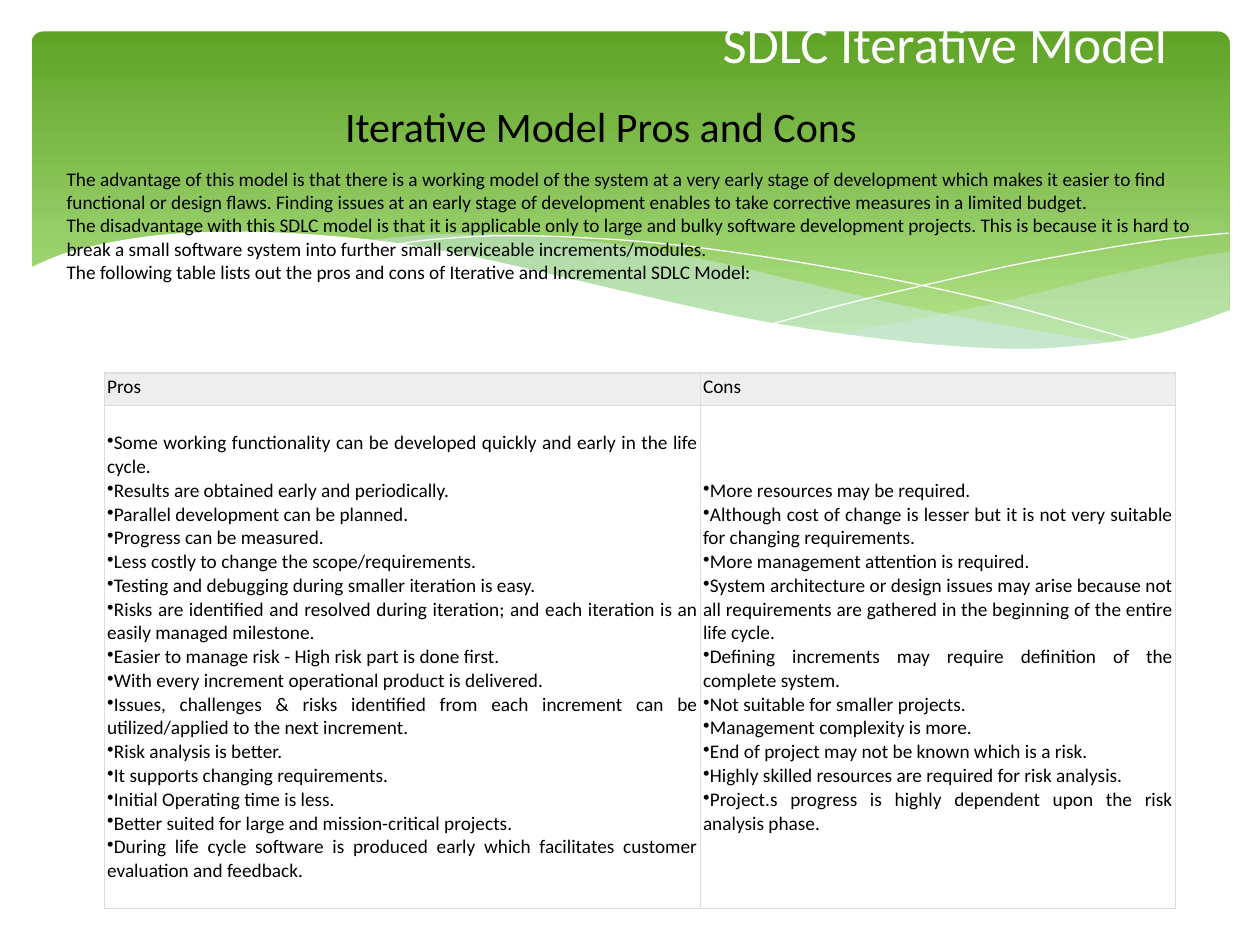
from dataclasses import dataclass
from typing import Optional

from lxml import etree
from pptx import Presentation
from pptx import util as u
from pptx.dml.color import RGBColor
from pptx.enum import shapes, text
from pptx.oxml import ns

COLORS = {"dark_green": "5FA326", "light_green": "B2E389", "mist": "D6ECFF",
          "white": "FFFFFF", "black": "000000", "header": "EEEEEE", "border": "DDDDDD"}
FONT = "Calibri"
CURVE_STEPS = 6
CELL_MARGIN = u.Inches(0.02)

Curve = list[tuple[float, float]]


@dataclass
class Wave:
    curves: list[Curve]
    fill: Optional[str] = None
    opacity: int = 100


@dataclass
class Label:
    left: float
    top: float
    width: float
    height: float
    lines: list[str]
    size: int
    color: str = "black"
    align: text.PP_ALIGN = text.PP_ALIGN.LEFT
    anchor: text.MSO_ANCHOR = text.MSO_ANCHOR.TOP
    wrap: bool = True


WAVES = [
    Wave([[(9.76, 2), (9.48, 2.04), (9.06, 2.13), (8.61, 2.23), (8.05, 2.37), (7.29, 2.53), (6.61, 2.65)],
          [(6.61, 2.65), (7.05, 2.71), (7.57, 2.76), (8.03, 2.78), (8.44, 2.77),
           (8.89, 2.72), (9.28, 2.63), (9.76, 2.47)]], "mist", 29),
    Wave([[(8.93, 2.73), (8.37, 2.65), (7.75, 2.54), (7.06, 2.4), (6.29, 2.22), (5.69, 2.08),
           (5.14, 1.98), (4.65, 1.91), (3.99, 1.86), (3.44, 1.86), (2.86, 1.91)],
          [(2.86, 1.91), (3.42, 1.99), (4.04, 2.11), (4.49, 2.22), (5.3, 2.4), (6.01, 2.55),
           (6.65, 2.66), (7.22, 2.74), (7.73, 2.77), (8.18, 2.78), (8.57, 2.77), (8.93, 2.73)]], "mist", 40),
    Wave([[(3.09, 1.95), (3.44, 1.9), (4.01, 1.87), (4.69, 1.89), (5.33, 1.94), (6.08, 2.04),
           (6.95, 2.19), (7.95, 2.41), (9.07, 2.72)]]),
    Wave([[(6.13, 2.57), (6.72, 2.41), (7.48, 2.23), (8.06, 2.1), (8.66, 1.99), (9.24, 1.9), (9.75, 1.85)]]),
    Wave([[(9.77, 2.46), (9.4, 2.59), (8.99, 2.69), (8.5, 2.75), (8.09, 2.77), (7.61, 2.75),
           (7.08, 2.7), (6.48, 2.62), (5.79, 2.5), (5.03, 2.33), (4.47, 2.2), (3.91, 2.07),
           (3.4, 1.97), (2.92, 1.9), (2.3, 1.85), (1.77, 1.84), (1.32, 1.86), (0.95, 1.91),
           (0.67, 1.97), (0.46, 2.03), (0.23, 2.13)],
          [(0.23, 3.29), (9.77, 3.29)]], "white"),
]

LABELS = [
    Label(5, 0, 5, 0.68, ["SDLC Iterative Model"], 30, "white", text.PP_ALIGN.CENTER, text.MSO_ANCHOR.MIDDLE),
    Label(2.64, 0.75, 4.67, 0.5, ["Iterative Model Pros and Cons"], 24, wrap=False),
    Label(0.43, 1.28, 9.21, 1.21, [
        "The advantage of this model is that there is a working model of the system at a very early stage of "
        "development which makes it easier to find functional or design flaws. Finding issues at an early stage "
        "of development enables to take corrective measures in a limited budget.",
        "The disadvantage with this SDLC model is that it is applicable only to large and bulky software "
        "development projects. This is because it is hard to break a small software system into further small "
        "serviceable increments/modules.",
        "The following table lists out the pros and cons of Iterative and Incremental SDLC Model:"], 11),
]

PROS = [
    "Some working functionality can be developed quickly and early in the life cycle.",
    "Results are obtained early and periodically.",
    "Parallel development can be planned.",
    "Progress can be measured.",
    "Less costly to change the scope/requirements.",
    "Testing and debugging during smaller iteration is easy.",
    "Risks are identified and resolved during iteration; and each iteration is an easily managed milestone.",
    "Easier to manage risk - High risk part is done first.",
    "With every increment operational product is delivered.",
    "Issues, challenges & risks identified from each increment can be utilized/applied to the next increment.",
    "Risk analysis is better.",
    "It supports changing requirements.",
    "Initial Operating time is less.",
    "Better suited for large and mission-critical projects.",
    "During life cycle software is produced early which facilitates customer evaluation and feedback.",
]
CONS = [
    "More resources may be required.",
    "Although cost of change is lesser but it is not very suitable for changing requirements.",
    "More management attention is required.",
    "System architecture or design issues may arise because not all requirements are gathered in the beginning "
    "of the entire life cycle.",
    "Defining increments may require definition of the complete system.",
    "Not suitable for smaller projects.",
    "Management complexity is more.",
    "End of project may not be known which is a risk.",
    "Highly skilled resources are required for risk analysis.",
    "Project.s progress is highly dependent upon the risk analysis phase.",
]


def rgb(name: str) -> RGBColor:
    return RGBColor.from_string(COLORS[name])


def smooth(curve: Curve) -> Curve:
    padded = [curve[0], *curve, curve[-1]]
    points = [curve[0]]
    for a, b, c, d in zip(padded, padded[1:], padded[2:], padded[3:]):
        for step in range(1, CURVE_STEPS + 1):
            t = step / CURVE_STEPS
            points.append(tuple(
                q + t / 2 * (r - p + t * (2 * p - 5 * q + 4 * r - s + t * (3 * (q - r) + s - p)))
                for p, q, r, s in zip(a, b, c, d)))
    return points


def add_header(slide) -> None:
    shape = slide.shapes.add_shape(shapes.MSO_SHAPE.ROUNDED_RECTANGLE, u.Inches(0.25), u.Inches(0.25),
                                   u.Inches(9.51), u.Inches(2.7))
    shape.adjustments[0] = 0.034
    shape.shadow.inherit = False
    shape.line.fill.background()
    shape.fill.gradient()
    shape.fill.gradient_angle = 270
    stops = (("dark_green", 0), ("light_green", 0.9))
    for stop, (color, position) in zip(shape.fill.gradient_stops, stops):
        stop.color.rgb = rgb(color)
        stop.position = position


def add_wave(slide, wave: Wave) -> None:
    points = [(u.Inches(x), u.Inches(y)) for curve in wave.curves for x, y in smooth(curve)]
    builder = slide.shapes.build_freeform(*points[0])
    builder.add_line_segments(points[1:], close=wave.fill is not None)
    shape = builder.convert_to_shape()
    shape.shadow.inherit = False
    if wave.fill is None:
        shape.fill.background()
        shape.line.color.rgb = rgb("white")
        shape.line.width = u.Pt(0)
        return
    shape.line.fill.background()
    shape.fill.solid()
    shape.fill.fore_color.rgb = rgb(wave.fill)
    if wave.opacity < 100:
        color = shape.fill._xPr.find(".//" + ns.qn("a:srgbClr"))
        etree.SubElement(color, ns.qn("a:alpha"), val=str(wave.opacity * 1000))


def write_lines(text_frame, lines: list[str], size: int, color: str, align: text.PP_ALIGN) -> None:
    text_frame.text = "\n".join(lines)
    for paragraph in text_frame.paragraphs:
        paragraph.alignment = align
        for run in paragraph.runs:
            run.font.name = FONT
            run.font.size = u.Pt(size)
            run.font.color.rgb = rgb(color)


def add_label(slide, label: Label) -> None:
    box = slide.shapes.add_textbox(u.Inches(label.left), u.Inches(label.top),
                                   u.Inches(label.width), u.Inches(label.height))
    box.text_frame.word_wrap = label.wrap
    box.text_frame.vertical_anchor = label.anchor
    write_lines(box.text_frame, label.lines, label.size, label.color, label.align)


def fill_cell(cell, lines: list[str], is_header: bool) -> None:
    cell.margin_left = cell.margin_right = cell.margin_top = cell.margin_bottom = CELL_MARGIN
    cell.vertical_anchor = text.MSO_ANCHOR.TOP if is_header else text.MSO_ANCHOR.MIDDLE
    align = text.PP_ALIGN.LEFT if is_header else text.PP_ALIGN.JUSTIFY
    write_lines(cell.text_frame, lines, 11, "black", align)
    properties = cell._tc.get_or_add_tcPr()
    for side in ("lnL", "lnR", "lnT", "lnB"):
        border = etree.SubElement(properties, ns.qn(f"a:{side}"), w=str(u.Pt(0.75)))
        solid = etree.SubElement(border, ns.qn("a:solidFill"))
        etree.SubElement(solid, ns.qn("a:srgbClr"), val=COLORS["border"])
    if is_header:
        cell.fill.solid()
        cell.fill.fore_color.rgb = rgb("header")
        return
    cell.fill.background()
    for paragraph in cell.text_frame.paragraphs:
        etree.SubElement(paragraph._p.get_or_add_pPr(), ns.qn("a:buChar"), char="•")


def add_comparison(slide) -> None:
    table = slide.shapes.add_table(2, 2, u.Inches(0.83), u.Inches(2.96), u.Inches(8.5), u.Inches(4.25)).table
    table.first_row = table.horz_banding = False
    for row, height in zip(table.rows, (0.26, 3.99)):
        row.height = u.Inches(height)
    for index, (width, heading, items) in enumerate(((4.73, "Pros", PROS), (3.77, "Cons", CONS))):
        table.columns[index].width = u.Inches(width)
        fill_cell(table.cell(0, index), [heading], True)
        fill_cell(table.cell(1, index), items, False)


def main() -> None:
    presentation = Presentation()
    presentation.slide_width = u.Inches(10)
    presentation.slide_height = u.Inches(7.5)
    slide = presentation.slides.add_slide(presentation.slide_layouts[6])
    add_header(slide)
    for wave in WAVES:
        add_wave(slide, wave)
    add_comparison(slide)
    for label in LABELS:
        add_label(slide, label)
    presentation.save("out.pptx")


if __name__ == "__main__":
    main()
